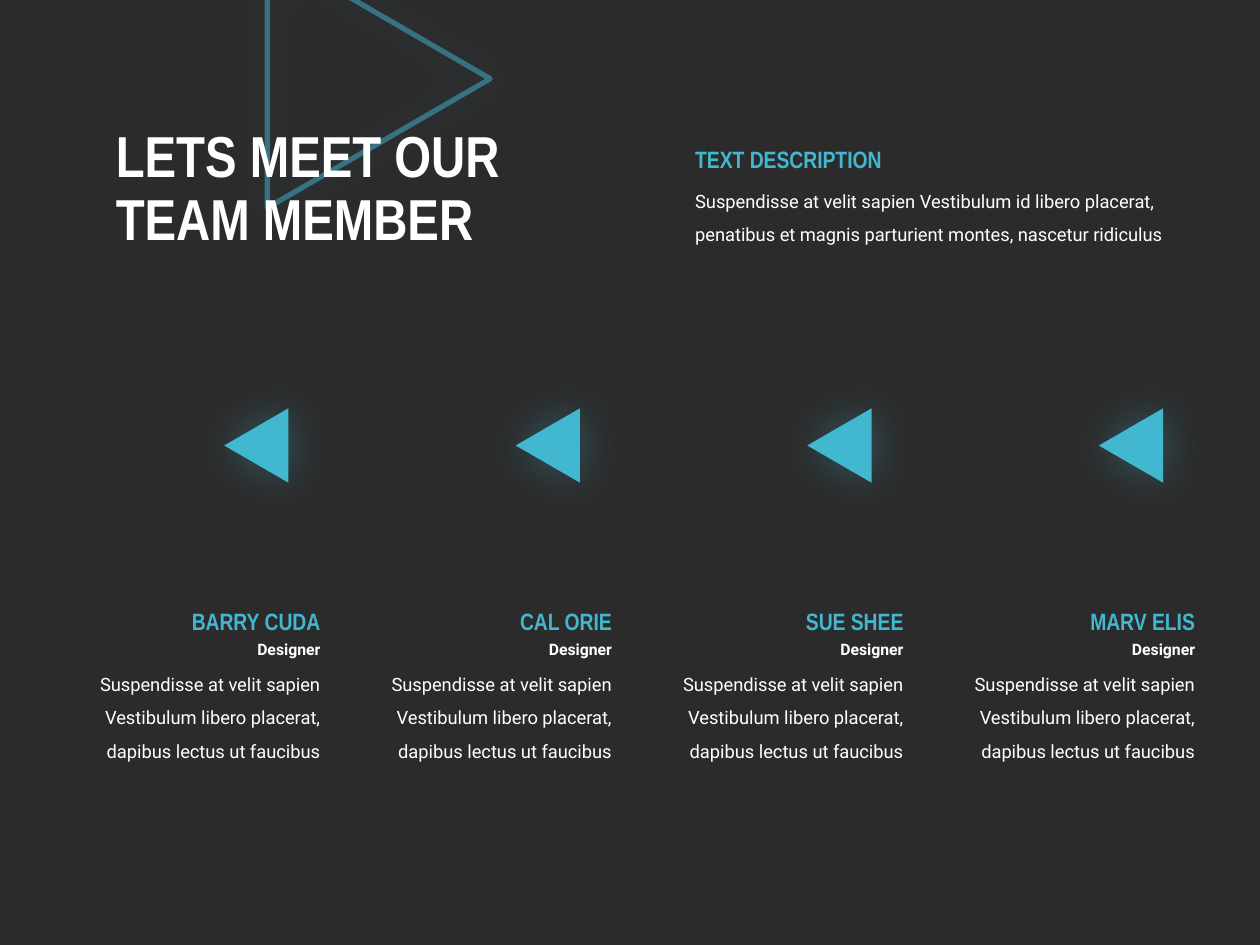
from lxml.etree import SubElement
from pptx import Presentation
from pptx.dml.color import RGBColor
from pptx.enum.shapes import MSO_SHAPE
from pptx.enum.text import MSO_ANCHOR, MSO_AUTO_SIZE, PP_ALIGN
from pptx.oxml.ns import qn
from pptx.util import Pt

DARK, WHITE, TEAL = "2B2B2B", "FFFFFF", "41B7D0"

TITLE = "LETS MEET OUR\vTEAM MEMBER"
INTRO_HEADING = "TEXT DESCRIPTION"
INTRO = ("Suspendisse at velit sapien Vestibulum id libero placerat, "
         "penatibus et magnis parturient montes, nascetur ridiculus")
BIO = "Suspendisse at velit sapien Vestibulum libero placerat, dapibus lectus ut faucibus"
MEMBERS = [
    ("BARRY CUDA", "Designer", BIO),
    ("CAL ORIE", "Designer", BIO),
    ("SUE SHEE", "Designer", BIO),
    ("MARV ELIS", "Designer", BIO),
]

HEADING_STYLE = dict(size=13.5, font="Arial Narrow", color=TEAL, bold=True)
ROLE_STYLE = dict(size=9, font="Roboto", color=WHITE, bold=True)
BODY_STYLE = dict(size=10.5, font="Roboto", color=WHITE, spacing=1.5)

COLUMN_RIGHT, COLUMN_PITCH = 190.1, 166.6
MARKER_OFFSET = 64.9
INTRO_LEFT = 390.2


def paint(color_format, color):
    color_format.rgb = RGBColor.from_string(color)


def write(frame, text, size, font, color, bold=False, spacing=None, align=None):
    frame.word_wrap = True
    paragraph = frame.paragraphs[0]
    paragraph.text = text
    paragraph.alignment = align
    paragraph.line_spacing = spacing
    for run in paragraph.runs:
        run.font.size = Pt(size)
        run.font.name = font
        run.font.bold = bold
        paint(run.font.color, color)


def add_text(slide, text, left, top, width, height, **style):
    box = slide.shapes.add_textbox(Pt(left), Pt(top), Pt(width), Pt(height))
    box.text_frame.auto_size = MSO_AUTO_SIZE.SHAPE_TO_FIT_TEXT
    write(box.text_frame, text, **style)


def set_alpha(color_element, percent):
    SubElement(color_element, qn("a:alpha"), val=str(percent * 1000))


def add_triangle(slide, left, top, width, height, rotation, outline=False):
    triangle = slide.shapes.add_shape(
        MSO_SHAPE.ISOSCELES_TRIANGLE, Pt(left), Pt(top), Pt(width), Pt(height))
    triangle.rotation = rotation
    if outline:
        triangle.fill.background()
        triangle.line.width = Pt(3)
        triangle.line.fill.solid()
        paint(triangle.line.color, TEAL)
        set_alpha(triangle.element.spPr.find(".//" + qn("a:ln")).find(".//" + qn("a:srgbClr")), 50)
    else:
        triangle.fill.solid()
        paint(triangle.fill.fore_color, TEAL)
        triangle.line.fill.background()
    triangle.shadow.inherit = False
    effects = triangle.element.spPr.find(qn("a:effectLst"))
    glow = SubElement(effects, qn("a:outerShdw"), blurRad=str(Pt(25)),
                      dist="0", dir="0", algn="ctr", rotWithShape="0")
    set_alpha(SubElement(glow, qn("a:srgbClr"), val=TEAL), 35)
    return triangle


def main():
    deck = Presentation()
    deck.slide_width, deck.slide_height = Pt(720), Pt(540)
    slide = deck.slides.add_slide(deck.slide_layouts[5])
    slide.background.fill.solid()
    paint(slide.background.fill.fore_color, DARK)

    backdrop = add_triangle(slide, 142.6, -18.7, 147.6, 127.4, 90, outline=True)
    title = slide.shapes.title
    backdrop.element.addnext(title.element)
    title.left, title.top, title.width, title.height = Pt(59), Pt(51.8), Pt(303.8), Pt(113.8)
    title.text_frame.vertical_anchor = MSO_ANCHOR.MIDDLE
    write(title.text_frame, TITLE, size=33, font="Arial Narrow", color=WHITE,
          bold=True, spacing=0.9, align=PP_ALIGN.LEFT)

    for index, (name, role, bio) in enumerate(MEMBERS):
        right = COLUMN_RIGHT + index * COLUMN_PITCH
        for text, top, width, height, style in (
            (bio, 375.1, 153.4, 62.6, BODY_STYLE),
            (name, 343.4, 100.1, 23.8, HEADING_STYLE),
            (role, 362.2, 56.2, 18, ROLE_STYLE),
        ):
            add_text(slide, text, right - width, top, width, height,
                     align=PP_ALIGN.RIGHT, **style)
        add_triangle(slide, right - MARKER_OFFSET, 236.2, 42.5, 36.7, 270)

    add_text(slide, INTRO, INTRO_LEFT, 98.6, 299.5, 43.2, **BODY_STYLE)
    add_text(slide, INTRO_HEADING, INTRO_LEFT, 79.2, 132.5, 23.8, **HEADING_STYLE)
    deck.save("out.pptx")


if __name__ == "__main__":
    main()
